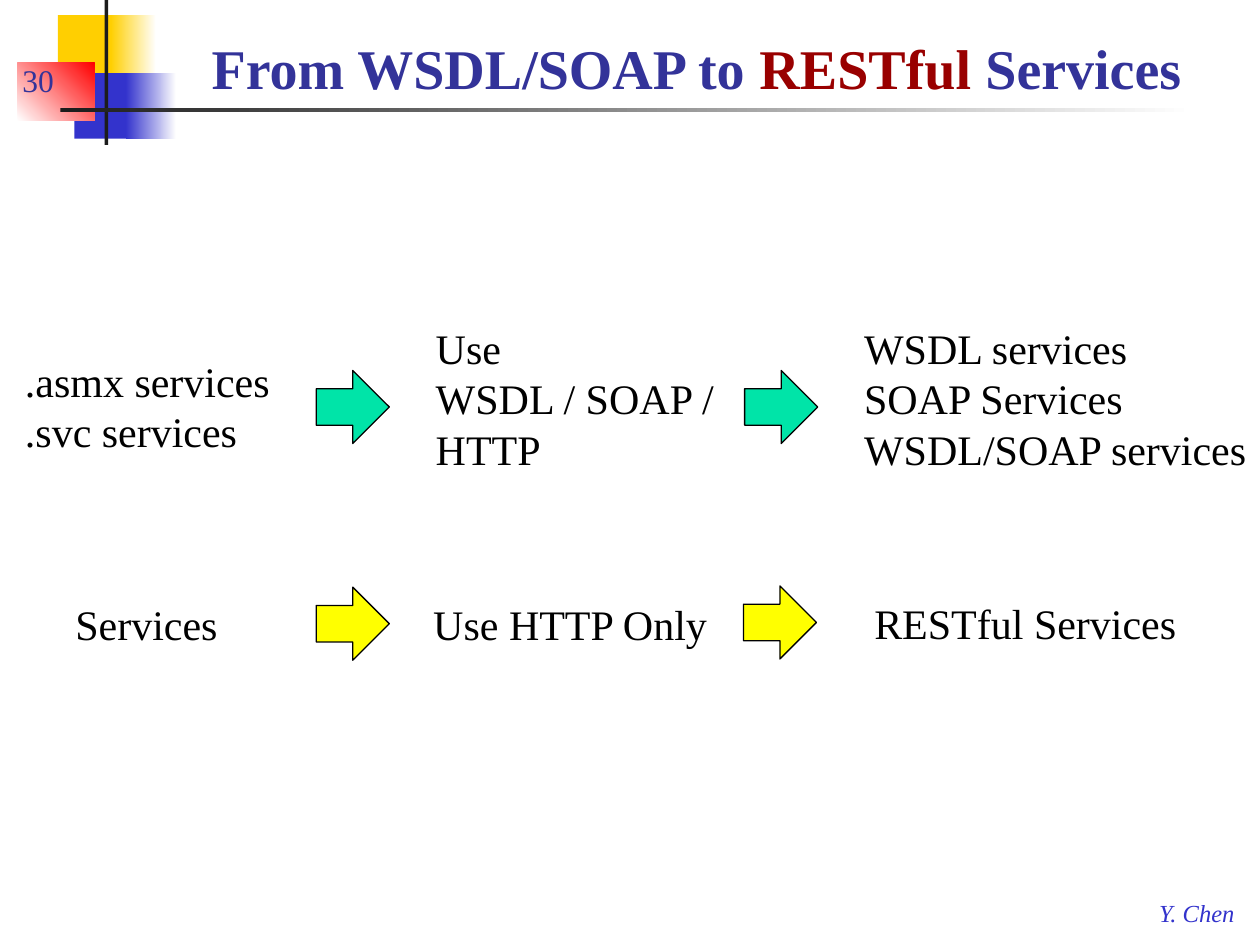
from pptx import Presentation
from pptx.dml.color import RGBColor
from pptx.enum.shapes import MSO_SHAPE
from pptx.enum.text import MSO_ANCHOR, MSO_AUTO_SIZE, PP_ALIGN
from pptx.util import Inches, Pt

RECT, ARROW = MSO_SHAPE.RECTANGLE, MSO_SHAPE.RIGHT_ARROW
TOP, BOTTOM = MSO_ANCHOR.TOP, MSO_ANCHOR.BOTTOM
COLORS = {
    "gold": "FFCF01", "blue": "3333CC", "red": "FF0000", "dark": "1C1C1C",
    "white": "FFFFFF", "navy": "333399", "maroon": "990000",
    "black": "000000", "green": "00E4A8", "yellow": "FFFF00",
}


def rgb(name):
    return RGBColor.from_string(COLORS[name])


def write(sp, lines, size, anchor=TOP, wrap=True, **font):
    """Fill a text shape; each line is a list of (text, colour) runs."""
    tf = sp.text_frame
    tf.auto_size = MSO_AUTO_SIZE.NONE
    tf.word_wrap = wrap
    tf.vertical_anchor = anchor
    for i, runs in enumerate(lines):
        p = tf.add_paragraph() if i else tf.paragraphs[0]
        p.alignment = PP_ALIGN.LEFT
        for text, color in runs:
            r = p.add_run()
            r.text = text
            r.font.color.rgb = rgb(color)
            formats = {"name": "Times New Roman", "size": Pt(size), **font}
            for attr, value in formats.items():
                setattr(r.font, attr, value)


prs = Presentation()
prs.slide_width, prs.slide_height = Inches(10), Inches(7.5)
s = prs.slides.add_slide(prs.slide_layouts[5])

# Corner decoration: (left, top, width, height), colours, gradient angle
decoration = [
    ((0.46, 0.12, 0.48, 0.52), ["gold"], 0),
    ((0.88, 0.12, 0.36, 0.52), ["gold", "white"], 0),
    ((0.59, 0.58, 0.46, 0.52), ["blue"], 0),
    ((1, 0.58, 0.4, 0.52), ["blue", "white"], 0),
    ((0.14, 0.5, 0.61, 0.46), ["white", "red"], 45),
    ((0.83, 0, 0.03, 1.15), ["dark"], 0),
    ((0.48, 0.86, 9, 0.03), ["dark", "white"], 0),
]
for box, fills, angle in decoration:
    sp = s.shapes.add_shape(RECT, *map(Inches, box))
    sp.shadow.inherit = False
    sp.line.fill.background()
    if len(fills) == 1:
        sp.fill.solid()
        sp.fill.fore_color.rgb = rgb(fills[0])
    else:
        sp.fill.gradient()
        sp.fill.gradient_angle = angle
        for stop, color in zip(sp.fill.gradient_stops, fills):
            stop.color.rgb = rgb(color)

# Title, author and slide number
title = s.shapes.title
title.left, title.top, title.width, title.height = map(Inches, (1.58, 0.17, 8.33, 0.68))
write(title, [[("From WSDL/SOAP to ", "navy"), ("RESTful", "maroon"), (" Services", "navy")]],
      32, BOTTOM, bold=True)
author = s.shapes.add_textbox(*map(Inches, (9.1, 7.08, 0.82, 0.33)))
write(author, [[("Y. Chen", "blue")]], 14, wrap=False, italic=True)
number = s.shapes.add_textbox(*map(Inches, (0.08, 0.33, 0.79, 0.5)))
write(number, [[("30", "navy")]], 18, BOTTOM)

# Two flows: arrow colour, arrow positions, then text boxes with wrap and lines
flows = [
    ("green", [(2.51, 2.94), (5.91, 2.94)], [
        ((0.1, 2.77, 2.16, 0.91), False, [".asmx services", ".svc services"]),
        ((3.36, 2.51, 2.56, 1.31), True, ["Use", "WSDL / SOAP / HTTP"]),
        ((6.76, 2.51, 3.27, 1.31), False,
         ["WSDL services", "SOAP Services", "WSDL/SOAP services"]),
    ]),
    ("yellow", [(2.51, 4.66), (5.9, 4.65)], [
        ((0.5, 4.7, 1.34, 0.5), False, ["Services"]),
        ((3.34, 4.7, 2.56, 0.5), True, ["Use HTTP Only"]),
        ((6.84, 4.69, 2.81, 0.5), True, ["RESTful Services"]),
    ]),
]
for color, arrows, steps in flows:
    group = s.shapes.add_group_shape()
    for left, top in arrows:
        sp = group.shapes.add_shape(ARROW, *map(Inches, (left, top, 0.58, 0.58)))
        sp.shadow.inherit = False
        sp.fill.solid()
        sp.fill.fore_color.rgb = rgb(color)
        sp.line.color.rgb = rgb("black")
        sp.line.width = Pt(0.75)
    for box, wrap, lines in steps:
        sp = group.shapes.add_textbox(*map(Inches, box))
        write(sp, [[(line, "black")] for line in lines], 24, wrap=wrap)

prs.save("out.pptx")
